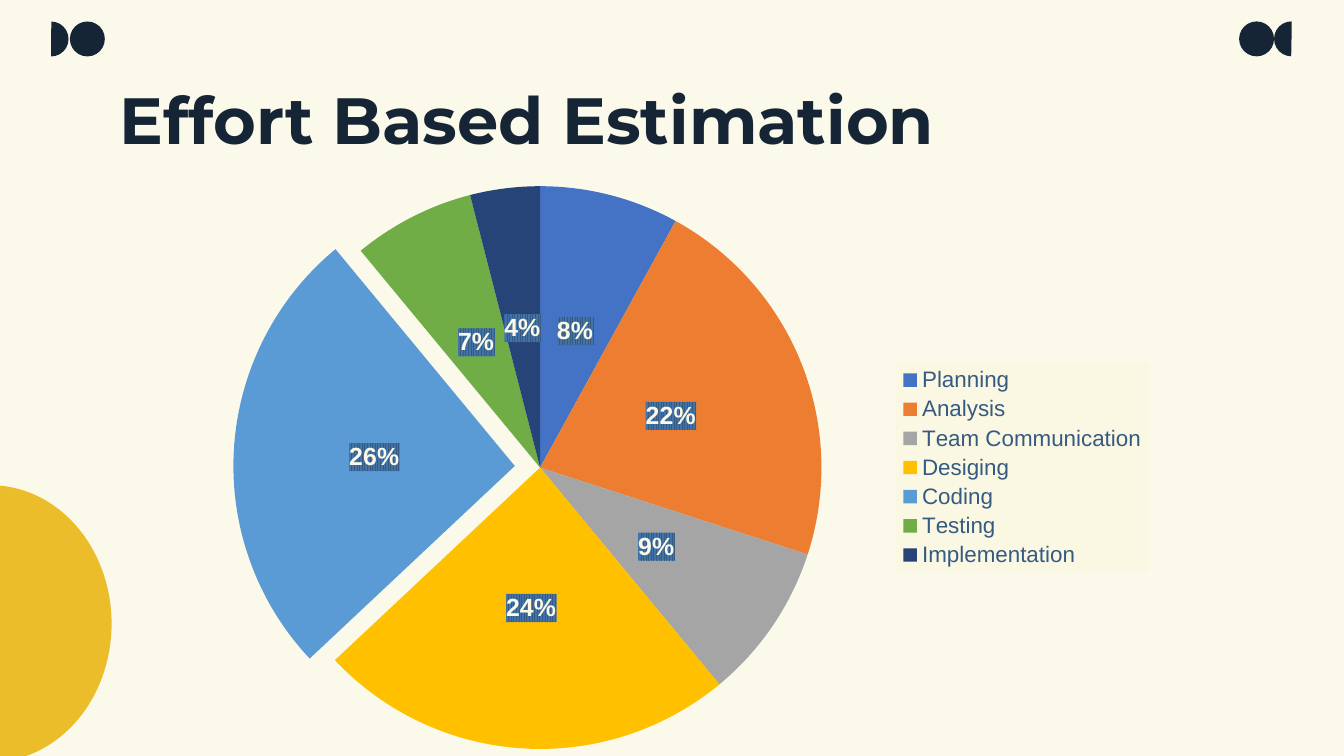
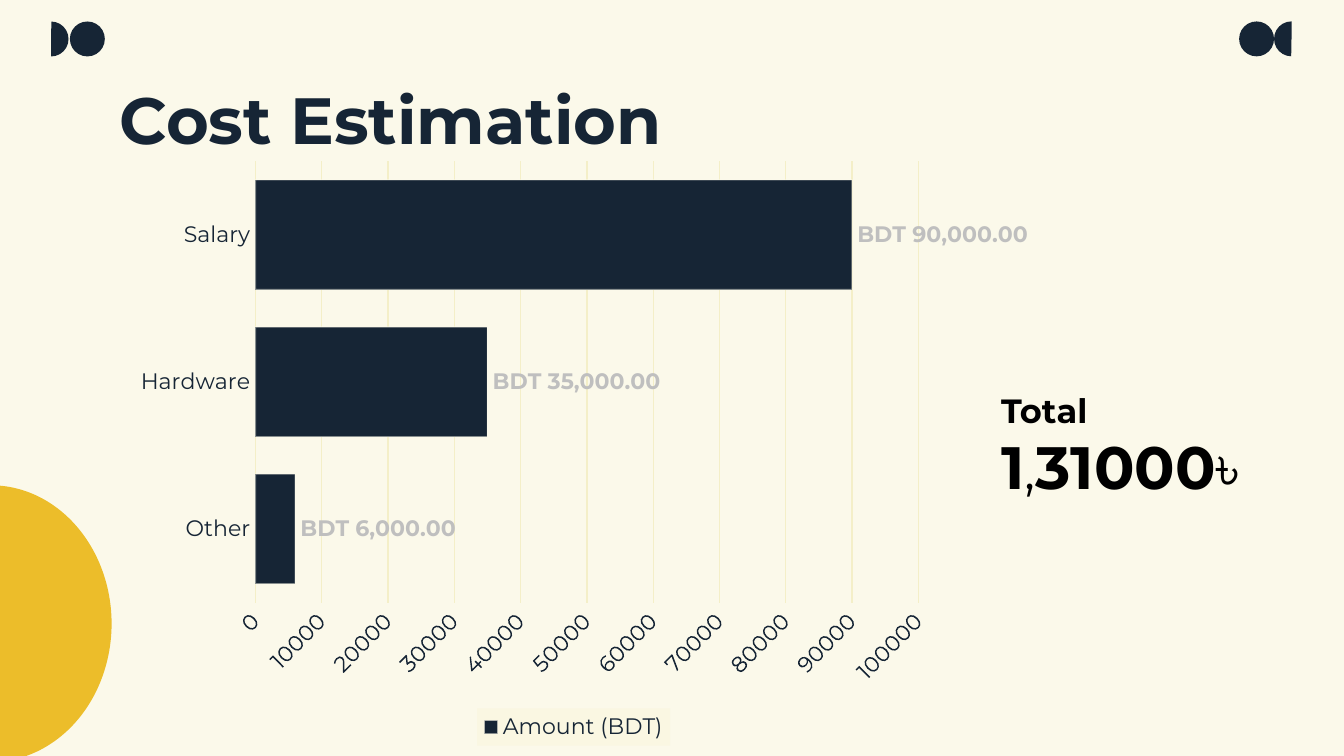
from pptx import Presentation
from pptx.chart.data import CategoryChartData
from pptx.dml.color import RGBColor
from pptx.enum.chart import XL_CHART_TYPE, XL_LABEL_POSITION, XL_LEGEND_POSITION, XL_TICK_MARK
from pptx.enum.shapes import MSO_SHAPE
from pptx.oxml import parse_xml
from pptx.oxml.ns import nsdecls
from pptx.util import Inches, Pt

PIE, BAR = XL_CHART_TYPE.PIE, XL_CHART_TYPE.BAR_CLUSTERED
CENTER, OUTSIDE = XL_LABEL_POSITION.CENTER, XL_LABEL_POSITION.OUTSIDE_END
RIGHT, BOTTOM = XL_LEGEND_POSITION.RIGHT, XL_LEGEND_POSITION.BOTTOM
NO_TICK = XL_TICK_MARK.NONE
HALF_DISC, DISC = MSO_SHAPE.PIE, MSO_SHAPE.OVAL

CREAM, NAVY, GOLD, STEEL = "FBF9EA", "162535", "ECBD2A", "365B82"
PALE, GRID, SILVER, BLACK = "FAF7E2", "F4EFC8", "BFBFBF", "000000"
STRIPE = "4273A8"
HEADING, PLAIN = "Montserrat", "Arial"


def rgb(value):
    return RGBColor.from_string(value)


def fill_before_text(element, fill):
    text = element.xpath("c:txPr")[0]
    text.addprevious(parse_xml(f'<c:spPr {nsdecls("c", "a")}>{fill}</c:spPr>'))


def solid(value):
    return f'<a:solidFill><a:srgbClr val="{value}"/></a:solidFill>'


def striped(front, back):
    return (f'<a:pattFill prst="narVert"><a:fgClr><a:srgbClr val="{front}"/></a:fgClr>'
            f'<a:bgClr><a:srgbClr val="{back}"/></a:bgClr></a:pattFill>')


class Deck:
    def __init__(self, width, height):
        self.show = Presentation()
        self.show.slide_width = Inches(width)
        self.show.slide_height = Inches(height)
        self.slide = None

    def place(self, x, y, w, h):
        wide, high = self.show.slide_width, self.show.slide_height
        return [round(share * side / 100)
                for share, side in ((x, wide), (y, high), (w, wide), (h, high))]

    def new_slide(self, heading):
        self.slide = self.show.slides.add_slide(self.show.slide_layouts[6])
        background = self.slide.background.fill
        background.solid()
        background.fore_color.rgb = rgb(CREAM)
        for turn, half_x, disc_x in ((180, 2.5, 5.2), (0, 94.8, 92.2)):
            self.shape(HALF_DISC, (half_x, 2.84, 2.6, 4.62), NAVY, turn, (54.58, 162))
            self.shape(DISC, (disc_x, 2.84, 2.6, 4.62), NAVY, turn)
        self.shape(HALF_DISC, (-9.7, 64.18, 18, 36.62), GOLD, 180, (53.46, 162))
        self.text((7.9, 8.71, 84.3, 11.2), [[(heading, 35, True)]], NAVY, 0.1)

    def shape(self, kind, box, color, turn=0, angles=()):
        shape = self.slide.shapes.add_shape(kind, *self.place(*box))
        shape.shadow.inherit = False
        shape.rotation = turn
        for index, angle in enumerate(angles):
            shape.adjustments[index] = angle
        shape.fill.solid()
        shape.fill.fore_color.rgb = rgb(color)
        shape.line.fill.background()

    def text(self, box, lines, color, inset=0.05):
        frame = self.slide.shapes.add_textbox(*self.place(*box)).text_frame
        frame.word_wrap = True
        frame.margin_top = frame.margin_bottom = Inches(inset)
        for index, line in enumerate(lines):
            paragraph = frame.add_paragraph() if index else frame.paragraphs[0]
            for words, size, bold in line:
                run = paragraph.add_run()
                run.text = words
                self.font(run.font, size, color, HEADING, bold)

    def font(self, font, size, color, name, bold=False):
        font.size, font.name, font.bold = Pt(size), name, bold
        font.color.rgb = rgb(color)

    def chart(self, kind, box, series_name, values, legend_at, legend_color, face):
        data = CategoryChartData()
        data.categories = list(values)
        data.add_series(series_name, list(values.values()))
        chart = self.slide.shapes.add_chart(kind, *self.place(*box), data).chart
        chart.has_title = False
        self.font(chart.font, 10, NAVY, PLAIN)
        chart.has_legend = True
        legend = chart.legend
        legend.position = legend_at
        legend.include_in_layout = False
        self.font(legend.font, 12, legend_color, face)
        fill_before_text(legend._element, solid(PALE))
        return chart

    def labels(self, series, position, number_format, size, color, face):
        labels = series.data_labels
        labels.position = position
        labels.number_format = number_format
        labels.number_format_is_linked = False
        self.font(labels.font, size, color, face, True)
        return labels

    def pie(self, box, series_name, slices, pulled_out):
        values = {name: share for name, share, _ in slices}
        chart = self.chart(PIE, box, series_name, values, RIGHT, STEEL, PLAIN)
        chart.plots[0].vary_by_categories = True
        series = chart.plots[0].series[0]
        for index, (name, _, color) in enumerate(slices):
            look = series.points[index].format
            look.fill.solid()
            look.fill.fore_color.rgb = rgb(color)
            look.line.fill.background()
            if name == pulled_out:
                fill = series._element.xpath(f"c:dPt[c:idx/@val='{index}']/c:spPr")[0]
                fill.addprevious(parse_xml(f'<c:explosion {nsdecls("c")} val="9"/>'))
        labels = self.labels(series, CENTER, "0%", 13.3, CREAM, PLAIN)
        labels.show_percentage = True
        labels.show_value = False
        fill_before_text(labels._element, striped(STEEL, STRIPE))

    def bars(self, box, series_name, values, top, step, plot_box):
        chart = self.chart(BAR, box, series_name, values, BOTTOM, NAVY, HEADING)
        plot = chart.plots[0]
        plot.gap_width = 34
        plot.vary_by_categories = False
        series = plot.series[0]
        series.format.fill.solid()
        series.format.fill.fore_color.rgb = rgb(NAVY)
        edge = series.format.line
        edge.width = Pt(0.75)
        edge.color.rgb = rgb(CREAM)
        tint = series._element.xpath("c:spPr/a:ln/a:solidFill/a:srgbClr")[0]
        tint.append(parse_xml(f'<a:alpha {nsdecls("a")} val="50000"/>'))
        labels = self.labels(series, OUTSIDE, r"[$BDT]\ #,##0.00", 12, SILVER, HEADING)
        labels.show_value = True
        for axis in (chart.category_axis, chart.value_axis):
            axis.major_tick_mark = axis.minor_tick_mark = NO_TICK
            axis.format.line.fill.background()
            self.font(axis.tick_labels.font, 12, NAVY, HEADING)
        amounts = chart.value_axis
        amounts.minimum_scale, amounts.maximum_scale, amounts.major_unit = 0, top, step
        amounts.tick_labels.number_format = "0"
        amounts.tick_labels.number_format_is_linked = False
        amounts._element.xpath("c:txPr/a:bodyPr")[0].set("rot", "-2700000")
        amounts.has_major_gridlines = True
        grid = amounts.major_gridlines.format.line
        grid.width = Pt(0.75)
        grid.color.rgb = rgb(GRID)
        self.fix_plot(chart, plot_box)

    def fix_plot(self, chart, box):
        area = chart._chartSpace.xpath("c:chart/c:plotArea")[0]
        for layout in area.xpath("c:layout"):
            area.remove(layout)
        modes = "".join(f'<c:{side}Mode val="edge"/>' for side in "xy")
        sizes = "".join(f'<c:{side} val="{share}"/>' for side, share in zip("xywh", box))
        area.insert(0, parse_xml(
            f'<c:layout {nsdecls("c")}><c:manualLayout><c:layoutTarget val="inner"/>'
            f'{modes}{sizes}</c:manualLayout></c:layout>'))


def main():
    deck = Deck(10, 5.625)

    deck.new_slide("Effort Based Estimation")
    efforts = [
        ("Planning", 8, "4472C4"),
        ("Analysis", 22, "ED7D31"),
        ("Team Communication", 9, "A5A5A5"),
        ("Desiging", 24, "FFC000"),
        ("Coding", 26, "5B9BD5"),
        ("Testing", 7, "70AD47"),
        ("Implementation", 4, "264478"),
    ]
    deck.pie((13.7, 18.84, 72.6, 86.04), "Series 1", efforts, "Coding")

    deck.new_slide("Cost Estimation")
    costs = {"Other": 6000, "Hardware": 35000, "Salary": 90000}
    deck.bars((9.8, 19.73, 66.7, 78.93), "Amount (BDT)", costs, 100000, 10000,
              (0.14, 0.02, 0.75, 0.74))
    total = [[("Total", 18, True)],
             [("1", 32, True), (",", 28, False), ("31000৳", 32, True)]]
    deck.text((73.5, 50.67, 21.7, 16.71), total, BLACK)

    deck.show.save("out.pptx")


if __name__ == "__main__":
    main()
